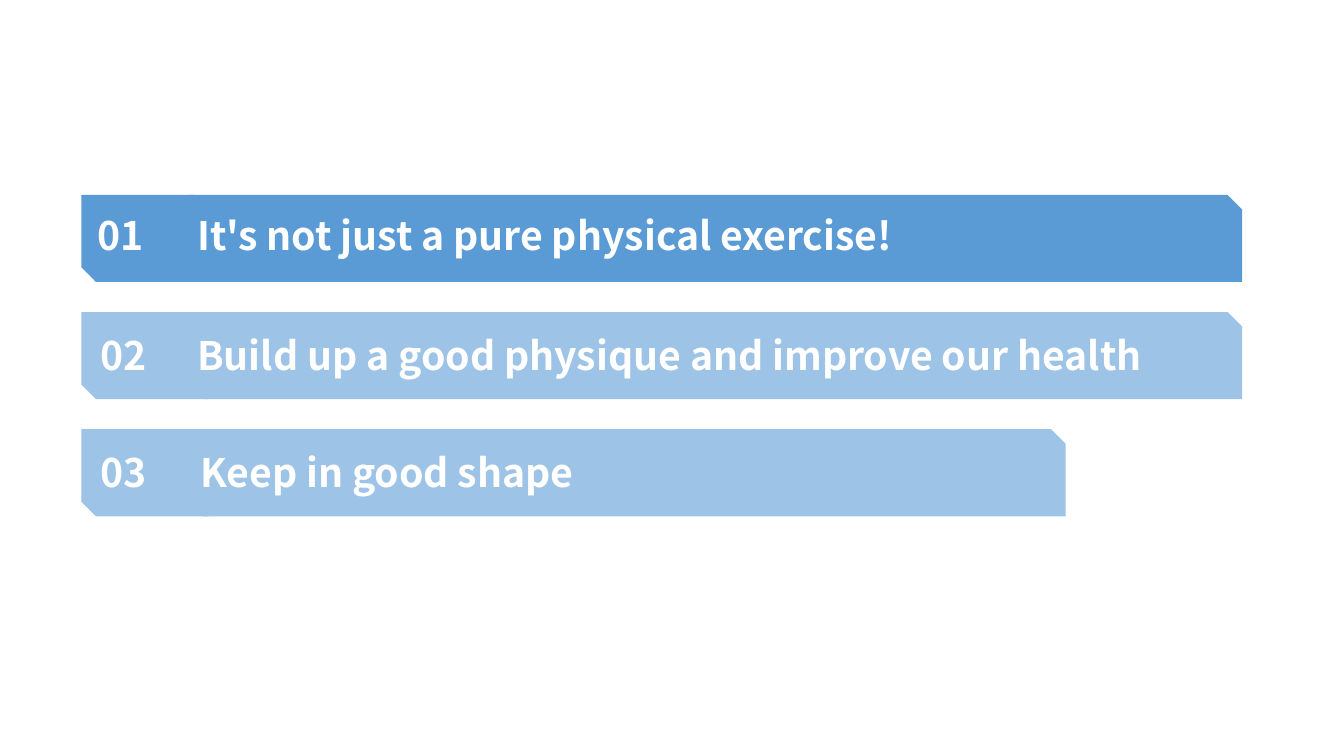
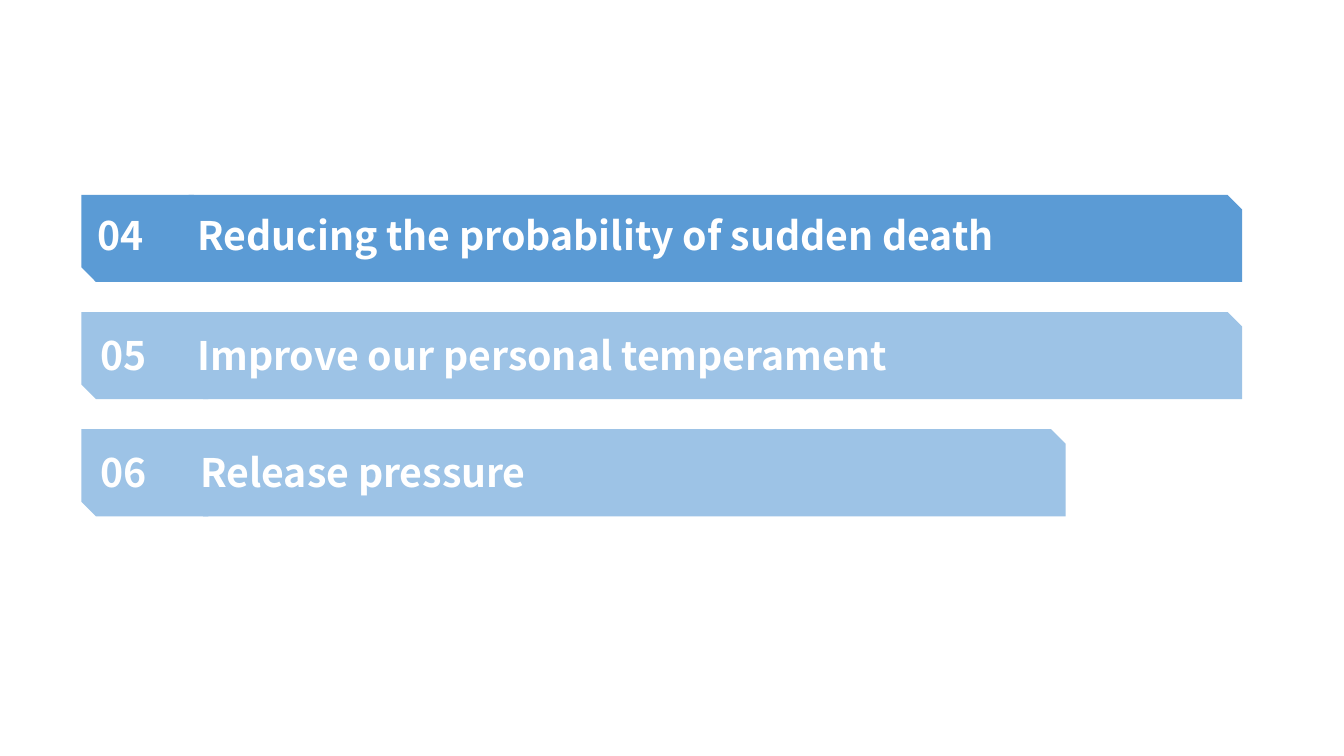
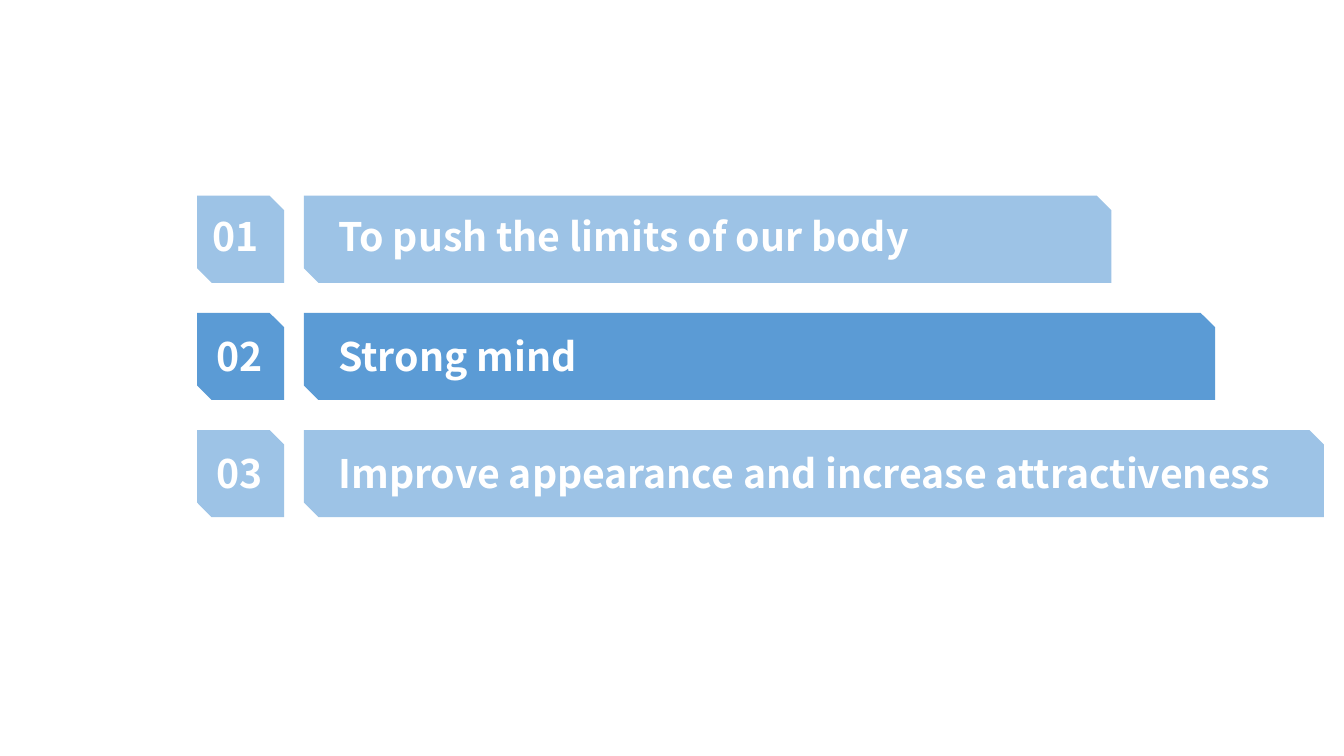
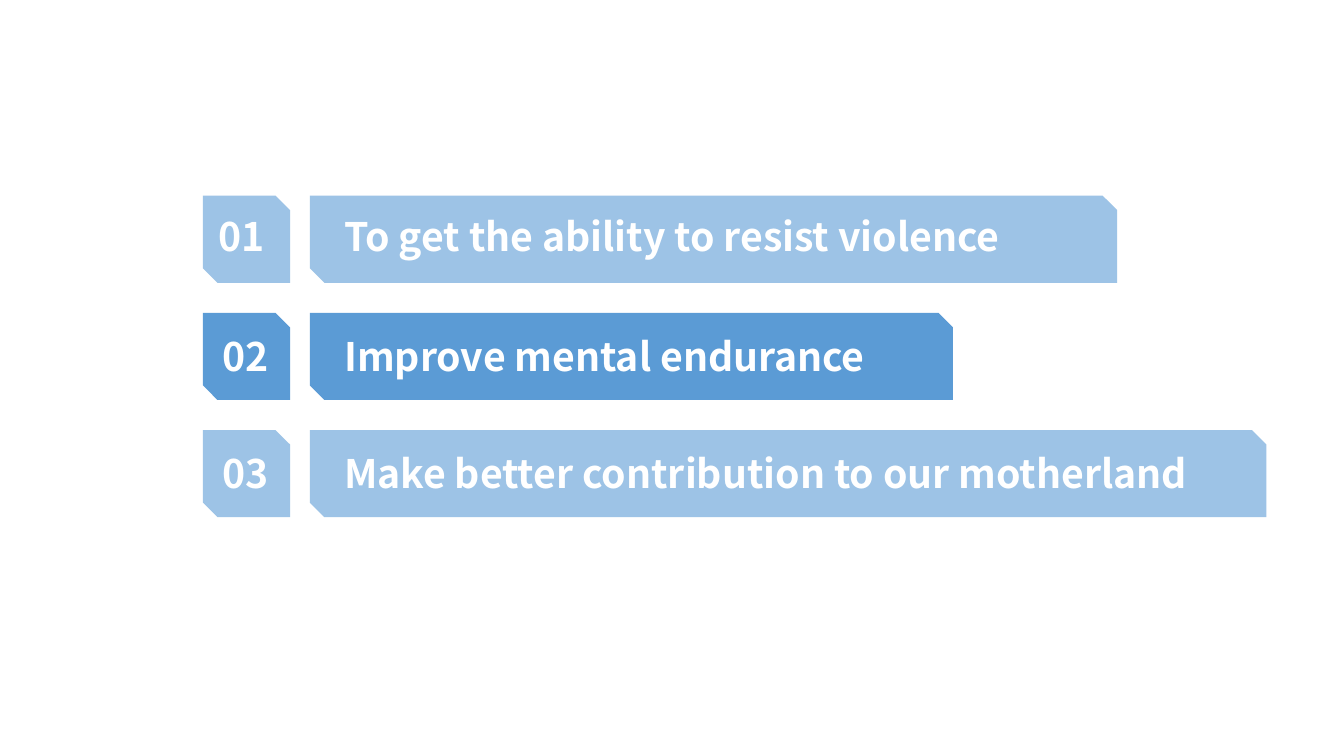
from pptx import Presentation
from pptx.dml.color import RGBColor
from pptx.enum.shapes import MSO_SHAPE
from pptx.enum.text import MSO_AUTO_SIZE
from pptx.util import Pt

SNIPPED = MSO_SHAPE.SNIP_2_DIAG_RECTANGLE
GROW = MSO_AUTO_SIZE.SHAPE_TO_FIT_TEXT

DARK = RGBColor(0x5B, 0x9B, 0xD5)
LIGHT = RGBColor(0x9D, 0xC3, 0xE6)
WHITE = RGBColor(0xFF, 0xFF, 0xFF)
FONT = {"name": "Noto Sans CJK SC", "size": Pt(28), "bold": True}

ROW_H, ROW_PITCH = 62.2, 83.7
TEXT_H = 41.2
NUMBER_DX = (4.2, 6.8, 6.8)
TEXT_DY = (8.2, 10.4, 10.2)

# Layouts: number tab joined to its bar, or standing apart from it
JOINED = dict(top=139.2, tab_w=90.6, bar_dx=76.6, label_dx=(75.7, 75.7, 77.9),
              number_w=71.3, number_wrap=True, label_wrap=(False, False, True), dark_row=0)
APART = dict(top=139.8, tab_w=62.2, bar_dx=76.3, label_dx=(93.8, 93.8, 93.8),
             number_w=49, number_wrap=False, label_wrap=(False, False, False), dark_row=1)

# Slides: layout, left edge, first number, rows of (label, bar width, label width)
SLIDES = [
    (JOINED, 58.2, 1, [
        ("It's not just a pure physical exercise!", 752.4, 524.2),
        ("Build up a good physique and improve our health", 752.4, 715),
        ("Keep in good shape", 626.4, 735.1)]),
    (JOINED, 58.2, 4, [
        ("Reducing the probability of sudden death", 752.4, 601.2),
        ("Improve our personal temperament", 752.4, 519.1),
        ("Release pressure", 626.4, 735.1)]),
    (APART, 140.8, 1, [
        ("To push the limits of our body", 576.7, 439.2),
        ("Strong mind", 650.9, 190.1),
        ("Improve appearance and increase attractiveness", 728.6, 691.9)]),
    (APART, 145, 1, [
        ("To get the ability to resist violence", 576.7, 499),
        ("Improve mental endurance", 459.4, 395.3),
        ("Make better contribution to our motherland", 683.3, 639.4)]),
]


def add_block(s, left, top, width, color):
    sp = s.shapes.add_shape(SNIPPED, Pt(left), Pt(top), Pt(width), Pt(ROW_H))
    sp.shadow.inherit = False
    sp.fill.solid()
    sp.fill.fore_color.rgb = color
    sp.line.fill.background()


def add_text(s, text, left, top, width, wrap):
    tf = s.shapes.add_textbox(Pt(left), Pt(top), Pt(width), Pt(TEXT_H)).text_frame
    tf.word_wrap = wrap
    tf.auto_size = GROW
    r = tf.paragraphs[0].add_run()
    r.text = text
    for key, value in FONT.items():
        setattr(r.font, key, value)
    r.font.color.rgb = WHITE


def add_agenda(s, layout, left, first, rows):
    for i, (label, bar_w, label_w) in enumerate(rows):
        top = layout["top"] + i * ROW_PITCH
        text_top = top + TEXT_DY[i]
        color = DARK if i == layout["dark_row"] else LIGHT
        add_block(s, left, top, layout["tab_w"], color)
        add_block(s, left + layout["bar_dx"], top, bar_w, color)
        add_text(s, f"{first + i:02d}", left + NUMBER_DX[i], text_top,
                 layout["number_w"], layout["number_wrap"])
        add_text(s, label, left + layout["label_dx"][i], text_top,
                 label_w, layout["label_wrap"][i])


def main():
    prs = Presentation()
    prs.slide_width, prs.slide_height = Pt(960), Pt(540)
    for layout, left, first, rows in SLIDES:
        s = prs.slides.add_slide(prs.slide_layouts[6])
        add_agenda(s, layout, left, first, rows)
    prs.save("out.pptx")


if __name__ == "__main__":
    main()
